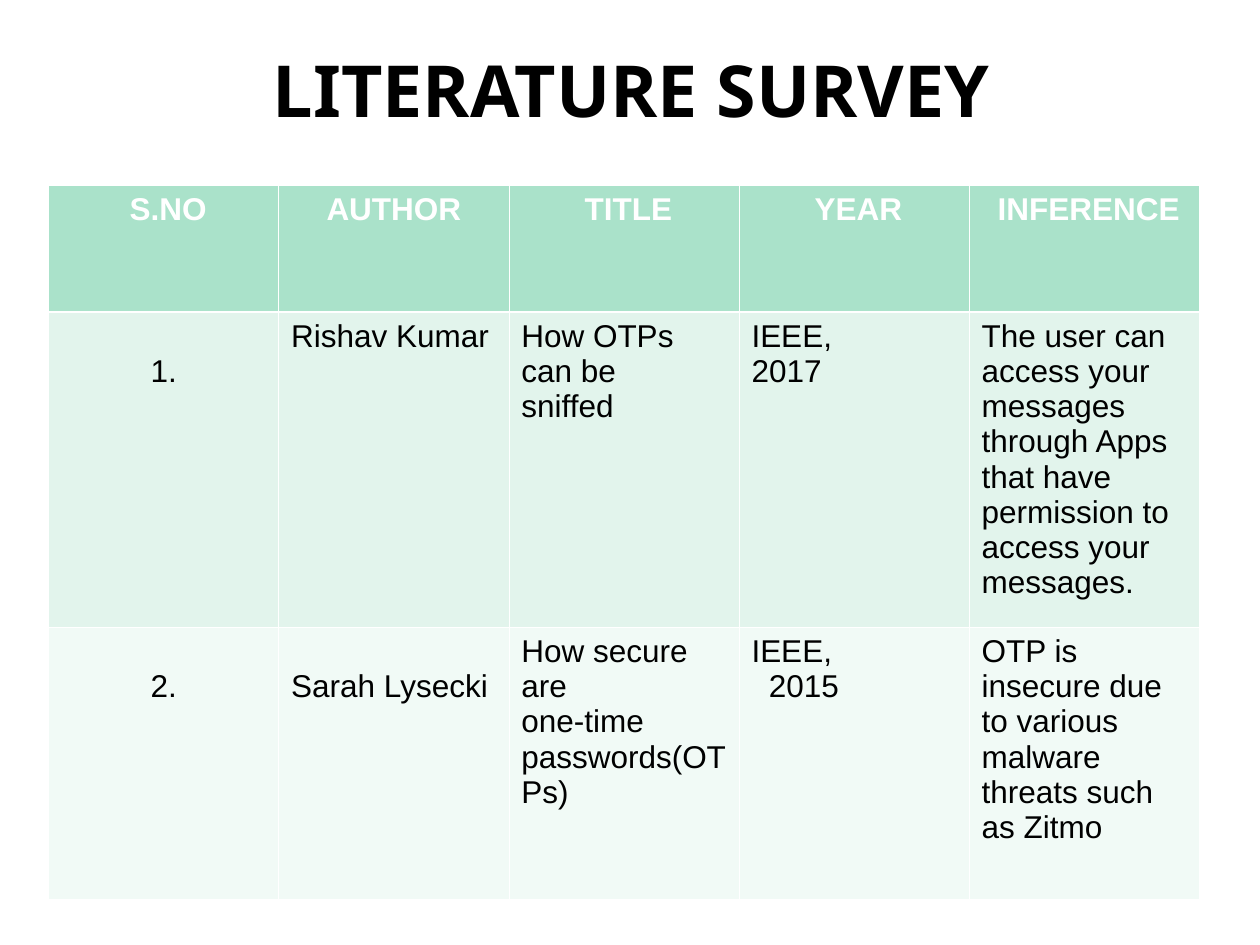
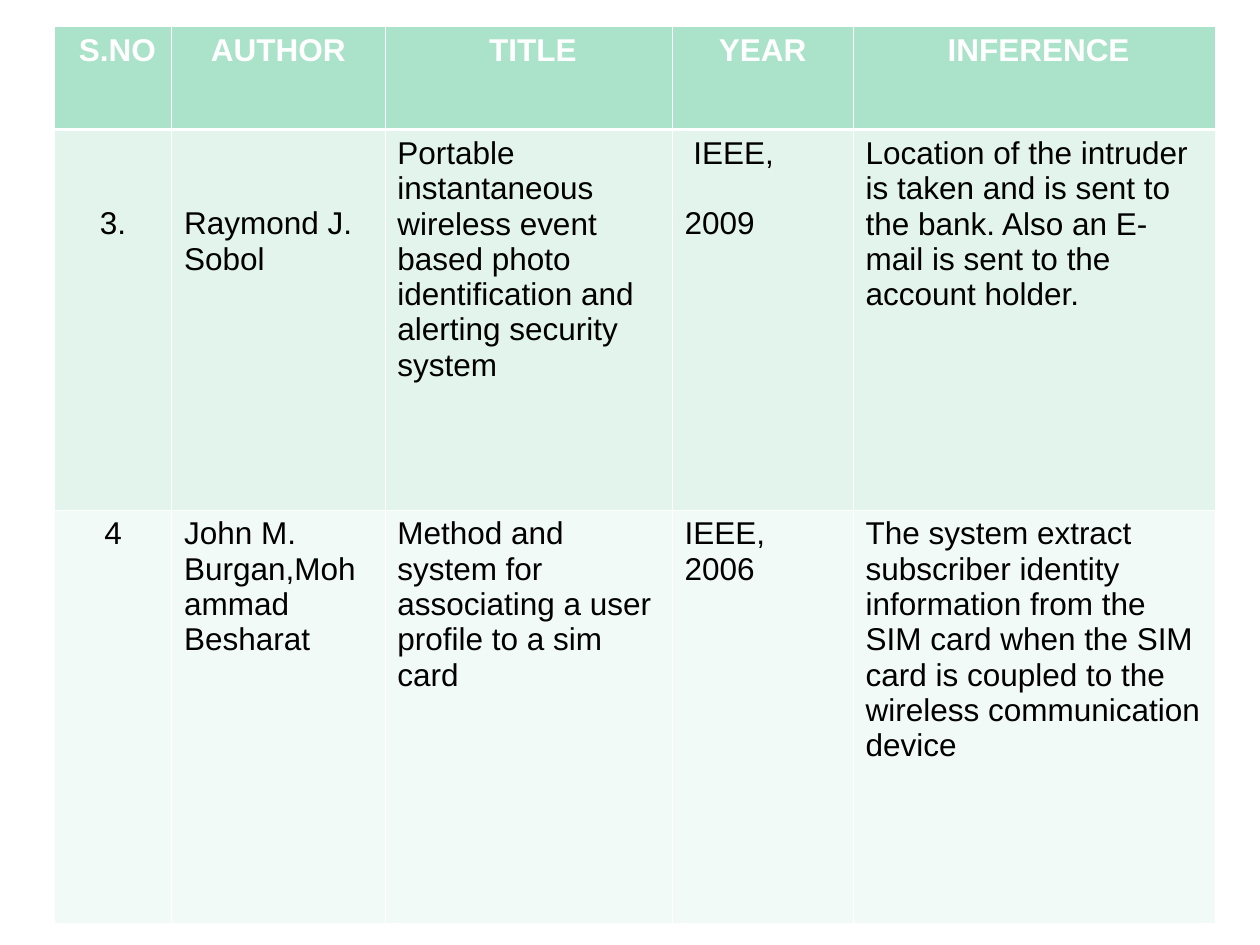
import dataclasses

import lxml.etree
import pptx
import pptx.dml.color
import pptx.enum.text
import pptx.oxml.ns
import pptx.util

Cm = pptx.util.Cm
Pt = pptx.util.Pt
ALIGN = pptx.enum.text.PP_ALIGN
ANCHOR = pptx.enum.text.MSO_ANCHOR

HEADINGS = [" S.NO", "AUTHOR", " TITLE", " YEAR", " INFERENCE"]


def colour(hex_code):
    return pptx.dml.color.RGBColor.from_string(hex_code)


@dataclasses.dataclass
class Entry:
    """Table entry: lines_above lowers it, gap and indent set off its last paragraph."""
    paragraphs: list
    lines_above: int = 0
    gap: int = 0
    indent: float = 0


class SurveyDeck:
    TITLE_FONT, BODY_FONT = "Noto Sans", "Arial"
    BLACK, WHITE = "000000", "FFFFFF"
    HEADER_FILL = "AAE2CA"
    ROW_FILLS = ["E2F4EC", "F1FAF6"]
    LINE_HEIGHT = 20.1
    THIN, THICK = 0.45, 1.47

    def __init__(self):
        self.presentation = pptx.Presentation()
        self.presentation.slide_width = Cm(25.4)
        self.presentation.slide_height = Cm(19.05)
        self.slide = None

    def new_slide(self):
        self.slide = self.presentation.slides.add_slide(self.presentation.slide_layouts[6])

    def add_text(self, paragraph, text, font, size, hex_code, bold):
        """Add the text run by run, with a line break at each newline."""
        for number, line in enumerate(text.split("\n")):
            if number:
                paragraph.add_line_break()
            run = paragraph.add_run()
            run.text = line
            run.font.name = font
            run.font.size = Pt(size)
            run.font.bold = bold
            run.font.color.rgb = colour(hex_code)

    def title(self, text):
        heading = self.slide.shapes.add_textbox(Cm(1.3), Cm(0.2), Cm(22.86), Cm(3.18))
        frame = heading.text_frame
        frame.word_wrap = True
        frame.vertical_anchor = ANCHOR.MIDDLE
        frame.paragraphs[0].alignment = ALIGN.CENTER
        self.add_text(frame.paragraphs[0], text, self.TITLE_FONT, 41, self.BLACK, True)

    def borders(self, cell, top, bottom):
        properties = cell._tc.get_or_add_tcPr()
        widths = {"a:lnL": self.THIN, "a:lnR": self.THIN, "a:lnT": top, "a:lnB": bottom}
        qn = pptx.oxml.ns.qn
        for side, width in widths.items():
            line = lxml.etree.SubElement(properties, qn(side), w=str(Pt(width)))
            fill = lxml.etree.SubElement(line, qn("a:solidFill"))
            lxml.etree.SubElement(fill, qn("a:srgbClr"), val=self.WHITE)

    def fill_cell(self, cell, entry, row, centred):
        header = row == 0
        self.borders(cell, self.THICK if row == 1 else self.THIN,
                     self.THICK if header else self.THIN)
        cell.fill.solid()
        cell.fill.fore_color.rgb = colour(
            self.HEADER_FILL if header else self.ROW_FILLS[(row - 1) % 2])
        cell.vertical_anchor = ANCHOR.TOP
        cell.margin_left = cell.margin_right = Cm(0.25)
        cell.margin_top = Cm(0.13) + Pt(entry.lines_above * self.LINE_HEIGHT)
        cell.margin_bottom = Cm(0.13)
        frame = cell.text_frame
        for number, text in enumerate(entry.paragraphs):
            paragraph = frame.add_paragraph() if number else frame.paragraphs[0]
            paragraph.alignment = ALIGN.CENTER if centred else ALIGN.LEFT
            self.add_text(paragraph, text, self.BODY_FONT, 18,
                          self.WHITE if header else self.BLACK, header)
        if entry.gap:
            paragraph.space_before = Pt(entry.gap * self.LINE_HEIGHT)
        if entry.indent:
            paragraph._p.get_or_add_pPr().set("marL", str(Cm(entry.indent)))

    def table(self, left, top, widths, heights, headings, papers):
        rows = [[Entry([heading]) for heading in headings], *papers]
        grid = self.slide.shapes.add_table(
            len(rows), len(widths), Cm(left), Cm(top),
            Cm(sum(widths)), Cm(sum(heights))).table
        for column, width in zip(grid.columns, widths):
            column.width = Cm(width)
        for row, (entries, height) in enumerate(zip(rows, heights)):
            grid.rows[row].height = Cm(height)
            for column, entry in enumerate(entries):
                self.fill_cell(grid.cell(row, column), entry, row, row == 0 or column == 0)


def first_papers(deck):
    deck.new_slide()
    deck.title("LITERATURE SURVEY")
    deck.table(0.98, 3.73, [4.64] * 5, [2.56, 6.35, 5.48], HEADINGS, [
        [Entry(["1."], lines_above=1),
         Entry(["Rishav Kumar"]),
         Entry(["How OTPs can be\nsniffed"]),
         Entry(["IEEE,", "2017"]),
         Entry(["The user can access your messages through Apps that have "
                "permission to access your messages."])],
        [Entry(["2."], lines_above=1),
         Entry(["Sarah Lysecki"], lines_above=1),
         Entry(["How secure are", "one-time passwords(OTPs)"]),
         Entry(["IEEE,", "2015"], indent=0.35),
         Entry(["OTP is insecure due to various malware threats such as Zitmo"])],
    ])


def later_papers(deck):
    deck.new_slide()
    headings = [heading.strip() if "YEAR" in heading else heading for heading in HEADINGS]
    deck.table(1.1, 0.53, [2.36, 4.3, 5.79, 3.65, 7.3], [2.08, 7.67, 8.33], headings, [
        [Entry(["3."], lines_above=2),
         Entry(["Raymond J. Sobol"], lines_above=2),
         Entry(["Portable instantaneous wireless event based photo "
                "identification and alerting security system"]),
         Entry([" IEEE,", "2009"], gap=1),
         Entry(["Location of the intruder is taken and is sent to the bank. "
                "Also an E-mail is sent to the account holder."])],
        [Entry(["4"]),
         Entry(["John M. Burgan,Mohammad Besharat"]),
         Entry(["Method and system for associating a user profile to a sim card"]),
         Entry(["IEEE,", "2006"]),
         Entry(["The system extract subscriber identity information from the SIM card "
                "when the SIM card is coupled to the wireless communication device"])],
    ])


def main():
    deck = SurveyDeck()
    first_papers(deck)
    later_papers(deck)
    deck.presentation.save("out.pptx")


if __name__ == "__main__":
    main()
